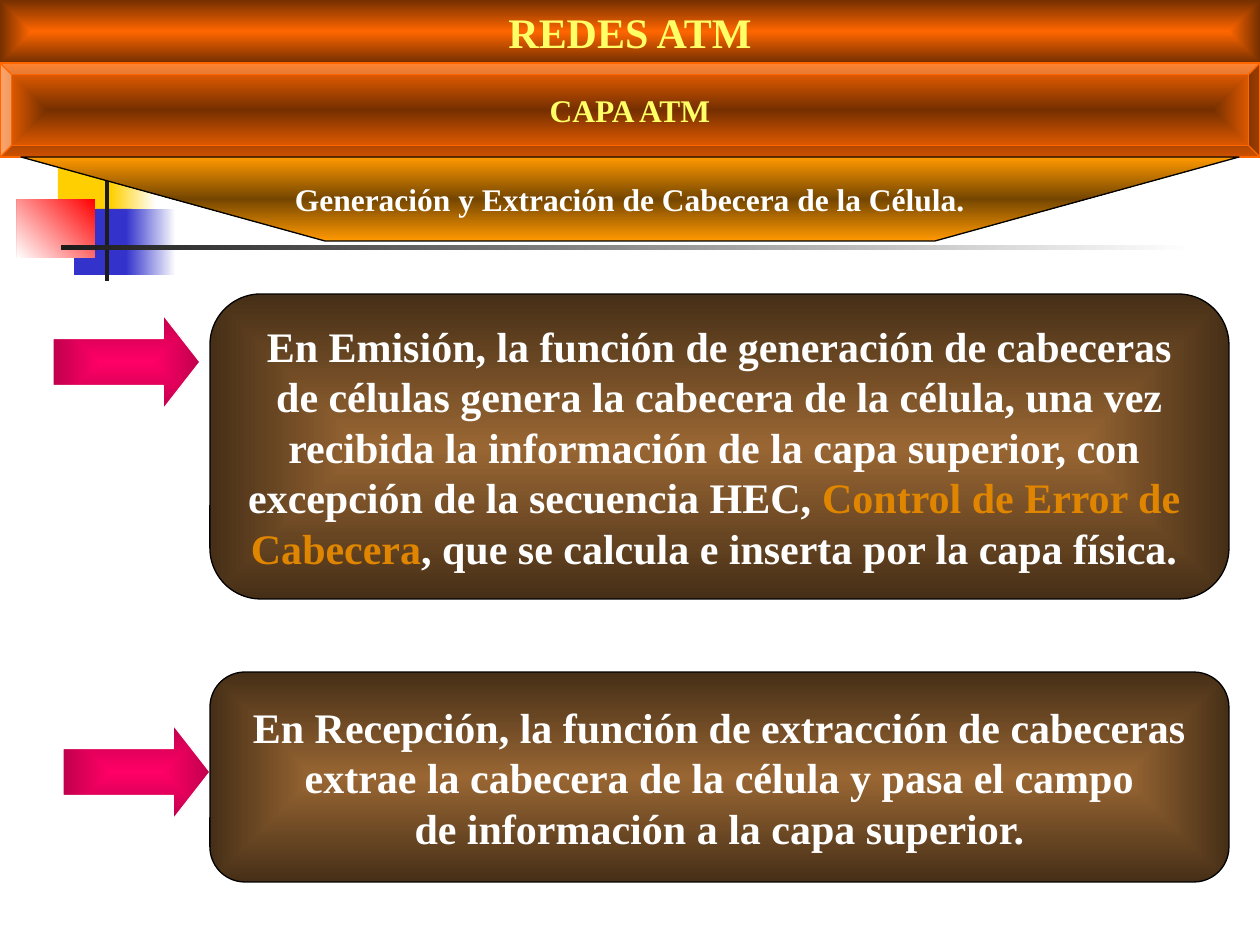
"""Build the ATM layer slide on cell header generation and extraction."""
from dataclasses import dataclass

from lxml.etree import SubElement
from pptx import Presentation
from pptx.dml.color import RGBColor
from pptx.enum.shapes import MSO_SHAPE
from pptx.enum.text import MSO_ANCHOR, MSO_AUTO_SIZE, PP_ALIGN
from pptx.oxml.ns import qn
from pptx.util import Pt


@dataclass(frozen=True)
class Theme:
    font: str = "Times New Roman"
    large: int = 24
    small: int = 18
    line: float = 0.75
    white: str = "FFFFFF"
    black: str = "000000"
    heading: str = "FFFF66"
    accent: str = "E08500"
    orange: str = "FF6600"
    gold: str = "FFCF01"
    blue: str = "3333CC"
    red: str = "FF0000"
    charcoal: str = "1C1C1C"
    banner: tuple = ("FF6600", "752F00")
    bevel: tuple = ("752F00", "FF6600")
    funnel: tuple = ("754600", "FF9900")
    arrow: tuple = ("FF0066", "C1004D")
    panel: tuple = ("996633", "462F17")


THEME = Theme()
PX = 914400 / 126
WIDTH, HEIGHT = 1260, 945

HEADING = "REDES ATM"
LAYER = "CAPA ATM"
TOPIC = "Generación y Extración de Cabecera de la Célula."
EMISSION = [
    [("En Emisión, la función de generación de cabeceras", THEME.white)],
    [(" de células genera la cabecera de la célula, una vez ", THEME.white)],
    [("recibida la información de la capa superior, con ", THEME.white)],
    [("excepción de la secuencia HEC, ", THEME.white), ("Control de Error de ", THEME.accent)],
    [("Cabecera", THEME.accent), (", que se calcula e inserta por la capa física. ", THEME.white)],
]
RECEPTION = [
    [("En Recepción, la función de extracción de cabeceras", THEME.white)],
    [(" extrae la cabecera de la célula y pasa el campo ", THEME.white)],
    [("de información a la capa superior.", THEME.white)],
]

ORNAMENTS = [
    ((58, 151, 60, 66), (THEME.gold,), None),
    ((111, 151, 45, 66), (THEME.white, THEME.gold), 180),
    ((74, 209, 58, 66), (THEME.blue,), None),
    ((126, 209, 50, 66), (THEME.white, THEME.blue), 180),
    ((17, 199, 78, 59), (THEME.red, THEME.white), 225),
    ((105, 136, 4, 145), (THEME.charcoal,), None),
    ((61, 245, 1134, 5), (THEME.white, THEME.charcoal), 180),
]
FUNNEL_OUTLINE = [(21, 157), (1239, 157), (935, 241), (325, 241)]
PANEL_LEFT, PANEL_WIDTH = 210, 1019
ARROW_SIZE = (147, 94)
POINTS = [
    (EMISSION, 294, 305, (53, 315)),
    (RECEPTION, 672, 210, (63, 725)),
]

FRAME_FORMAT = {
    "auto_size": MSO_AUTO_SIZE.NONE,
    "vertical_anchor": MSO_ANCHOR.MIDDLE,
    "word_wrap": False,
}
MARGINS = {"margin_left": 13, "margin_right": 13, "margin_top": 6, "margin_bottom": 6}


def apply_format(target, values):
    for name, value in values.items():
        setattr(target, name, value)


def emu(*lengths):
    return [round(length * PX) for length in lengths]


def paint(shape, colours, angle=None, line=None):
    if len(colours) == 1:
        shape.fill.solid()
        shape.fill.fore_color.rgb = RGBColor.from_string(colours[0])
    else:
        shape.fill.gradient()
        for stop, colour in zip(shape.fill.gradient_stops, colours):
            stop.color.rgb = RGBColor.from_string(colour)
        if angle is not None:
            shape.fill.gradient_angle = angle
        else:
            gradient = shape._element.spPr.find(qn("a:gradFill"))
            gradient.remove(gradient.find(qn("a:lin")))
            centre = SubElement(gradient, qn("a:path"), {"path": "rect"})
            SubElement(centre, qn("a:fillToRect"), dict.fromkeys("ltrb", "50000"))
    if line:
        shape.line.color.rgb = RGBColor.from_string(line)
        shape.line.width = Pt(THEME.line)
    else:
        shape.line.fill.background()


def add_preset(slide, preset, box, colours, angle=None, line=None):
    shape = slide.shapes.add_shape(preset, *emu(*box))
    shape.shadow.inherit = False
    paint(shape, colours, angle, line)
    return shape


def write(shape, lines, size):
    frame = shape.text_frame
    apply_format(frame, FRAME_FORMAT)
    apply_format(frame, {side: emu(gap)[0] for side, gap in MARGINS.items()})
    for index, pieces in enumerate(lines):
        paragraph = frame.add_paragraph() if index else frame.paragraphs[0]
        paragraph.alignment = PP_ALIGN.CENTER
        for wording, colour in pieces:
            run = paragraph.add_run()
            run.text = wording
            apply_format(run.font, {"name": THEME.font, "size": Pt(size), "bold": True})
            run.font.color.rgb = RGBColor.from_string(colour)


def add_headings(slide):
    title = slide.shapes.title
    apply_format(title, dict(zip(("left", "top", "width", "height"), emu(0, 0, WIDTH, 63))))
    paint(title, THEME.banner)
    write(title, [[(HEADING, THEME.heading)]], THEME.large)

    layer = add_preset(slide, MSO_SHAPE.BEVEL, (0, 63, WIDTH, 94), THEME.bevel, line=THEME.orange)
    write(layer, [[(LAYER, THEME.heading)]], THEME.small)

    builder = slide.shapes.build_freeform(*FUNNEL_OUTLINE[0], scale=PX)
    builder.add_line_segments(FUNNEL_OUTLINE[1:], close=True)
    topic = builder.convert_to_shape()
    topic.shadow.inherit = False
    paint(topic, THEME.funnel, line=THEME.black)
    write(topic, [[(TOPIC, THEME.white)]], THEME.small)


def add_point(slide, lines, top, height, arrow_corner):
    arrow = add_preset(slide, MSO_SHAPE.RIGHT_ARROW, (*arrow_corner, *ARROW_SIZE),
                       THEME.arrow, line=THEME.white)
    arrow.adjustments[1] = 0.39
    panel = add_preset(slide, MSO_SHAPE.ROUNDED_RECTANGLE,
                       (PANEL_LEFT, top, PANEL_WIDTH, height), THEME.panel, line=THEME.black)
    write(panel, lines, THEME.large)


def main():
    deck = Presentation()
    deck.slide_width, deck.slide_height = emu(WIDTH, HEIGHT)
    slide = deck.slides.add_slide(deck.slide_layouts[5])
    for box, colours, angle in ORNAMENTS:
        add_preset(slide, MSO_SHAPE.RECTANGLE, box, colours, angle)
    add_headings(slide)
    for point in POINTS:
        add_point(slide, *point)
    deck.save("out.pptx")


if __name__ == "__main__":
    main()
